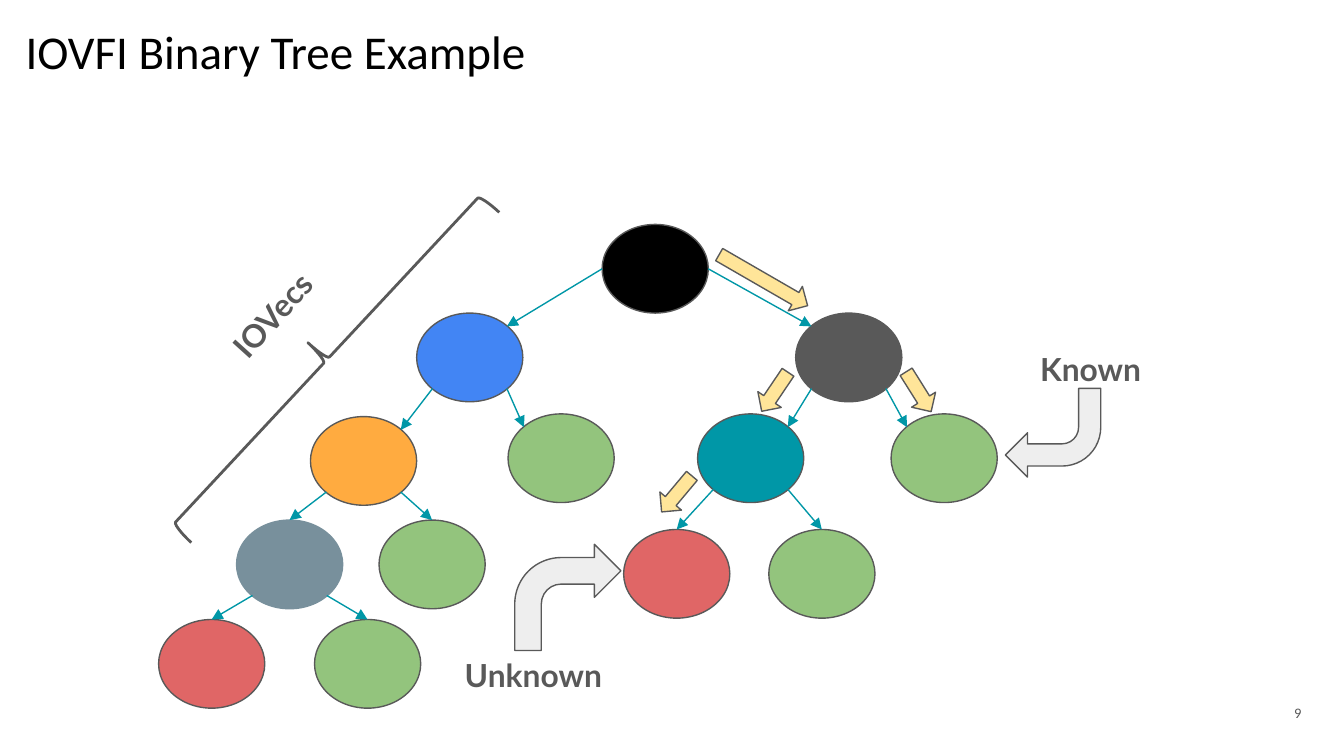
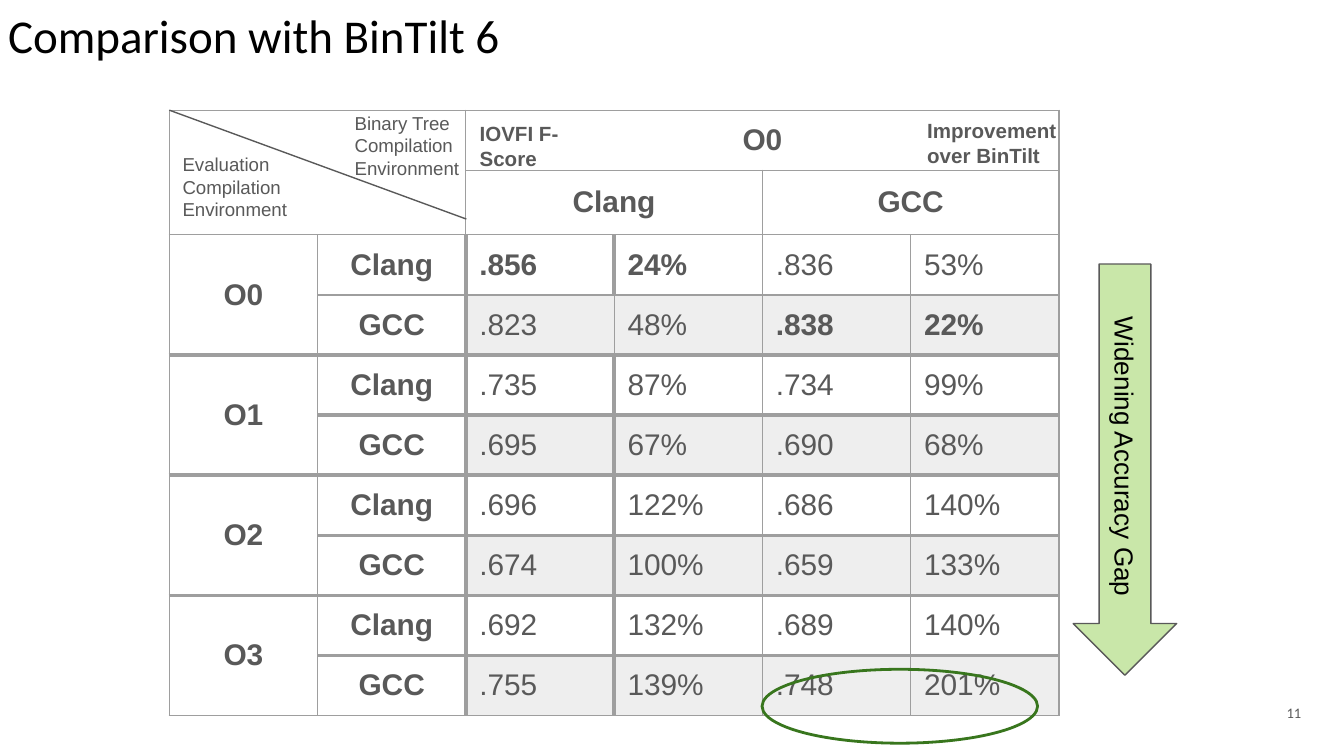
from dataclasses import dataclass

from lxml.etree import SubElement
from pptx import Presentation
from pptx.dml.color import RGBColor
from pptx.enum.shapes import MSO_CONNECTOR, MSO_SHAPE
from pptx.enum.text import MSO_ANCHOR, PP_ALIGN
from pptx.oxml.ns import qn
from pptx.util import Inches, Pt


@dataclass(frozen=True)
class Theme:
    black: str = "000000"
    gray: str = "595959"
    pale: str = "EEEEEE"
    grid: str = "9E9E9E"
    teal: str = "0097A7"
    blue: str = "4285F4"
    orange: str = "FFAB40"
    slate: str = "78909C"
    green: str = "93C47D"
    red: str = "E06666"
    yellow: str = "FFE599"
    lime: str = "92D050"
    forest: str = "38761D"
    heading: str = "Calibri"
    label: str = "Lato"
    body: str = "Arial"
    title_size: float = 25.2
    label_size: float = 17
    table_size: float = 16
    arrow_size: float = 14
    key_size: float = 11
    corner_size: float = 10
    number_size: float = 7.8
    thin: float = 0.75
    medium: float = 1.5
    heavy: float = 2.25


THEME = Theme()


# Shared helpers
def rgb(color):
    return RGBColor.from_string(color)


def write(holder, text, name, size, color=THEME.gray, bold=False,
          align=PP_ALIGN.LEFT, anchor=MSO_ANCHOR.TOP):
    """Fill a text frame or table cell with one evenly formatted paragraph."""
    frame = getattr(holder, "text_frame", holder)
    frame.word_wrap = True
    holder.vertical_anchor = anchor
    for side in ("left", "top", "right", "bottom"):
        setattr(holder, f"margin_{side}", Inches(0.1))
    para = frame.paragraphs[0]
    para.text = text
    para.alignment = align
    font = para.font
    font.name, font.size, font.bold = name, Pt(size), bold
    font.color.rgb = rgb(color)
    return para


def add_label(page, box, text, name, size, bold=False, align=PP_ALIGN.LEFT, turn=0):
    label = page.shapes.add_textbox(*map(Inches, box))
    label.rotation = turn
    write(label.text_frame, text, name, size, bold=bold, align=align)


def add_figure(page, kind, box, fill=None, line=THEME.gray, width=THEME.thin, turn=0):
    figure = page.shapes.add_shape(kind, *map(Inches, box))
    figure.shadow.inherit = False
    figure.rotation = turn
    if fill:
        figure.fill.solid()
        figure.fill.fore_color.rgb = rgb(fill)
    else:
        figure.fill.background()
    if line:
        figure.line.color.rgb = rgb(line)
        figure.line.width = Pt(width)
    else:
        figure.line.fill.background()
    return figure


def add_line(page, start, end, color, arrow=False):
    line = page.shapes.add_connector(MSO_CONNECTOR.STRAIGHT, *map(Inches, start + end))
    line.line.color.rgb = rgb(color)
    line.line.width = Pt(THEME.thin)
    if arrow:
        SubElement(line.line._get_or_add_ln(), qn("a:tailEnd"), type="triangle")
    SubElement(line._element.spPr, qn("a:effectLst"))


def add_page(deck, title, corner, number):
    page = deck.slides.add_slide(deck.slide_layouts[5])
    heading = page.shapes.title
    heading.left, heading.top = map(Inches, corner)
    heading.width, heading.height = Inches(9.57), Inches(0.63)
    write(heading.text_frame, title, THEME.heading, THEME.title_size, THEME.black)
    # Page number
    badge = add_figure(page, MSO_SHAPE.OVAL, (9.27, 5.1, 0.6, 0.43), line=None)
    para = write(badge.text_frame, number, THEME.heading, THEME.number_size,
                 align=PP_ALIGN.RIGHT, anchor=MSO_ANCHOR.MIDDLE)
    para.line_spacing = 0.8
    return page


# Binary tree
NODE_WIDTH, NODE_HEIGHT = 0.79, 0.66
NEAR, FAR = 0.15, 0.85
SITES = {
    "top": (0.5, 0), "left": (0, 0.5), "right": (1, 0.5),
    "top left": (NEAR, NEAR), "top right": (FAR, NEAR),
    "bottom left": (NEAR, FAR), "bottom right": (FAR, FAR),
}
NODES = {  # offset from the tree's corner, colour
    "root": (3.3, 0, THEME.black),
    "blue": (1.92, 0.66, THEME.blue),
    "orange": (1.13, 1.43, THEME.orange),
    "blue known": (2.6, 1.41, THEME.green),
    "gray": (4.74, 0.66, THEME.gray),
    "teal": (4.01, 1.41, THEME.teal),
    "gray known": (5.45, 1.41, THEME.green),
    "slate": (0.58, 2.2, THEME.slate),
    "orange known": (1.64, 2.2, THEME.green),
    "slate unknown": (0, 2.94, THEME.red),
    "slate known": (1.16, 2.94, THEME.green),
    "teal unknown": (3.46, 2.27, THEME.red),
    "teal known": (4.54, 2.27, THEME.green),
}
BRANCHES = [  # parent, left child, its site, right child, its site
    ("root", "blue", "top right", "gray", "top left"),
    ("blue", "orange", "top right", "blue known", "top left"),
    ("gray", "teal", "top right", "gray known", "top left"),
    ("orange", "slate", "top", "orange known", "top"),
    ("slate", "slate unknown", "top", "slate known", "top"),
    ("teal", "teal unknown", "top", "teal known", "top"),
]


def draw_tree(page, left, top):
    def site(node, name):
        x, y, _ = NODES[node]
        across, down = SITES[name]
        return left + x + across * NODE_WIDTH, top + y + down * NODE_HEIGHT

    for x, y, color in NODES.values():
        outline = THEME.slate if color == THEME.slate else THEME.gray
        add_figure(page, MSO_SHAPE.OVAL, (left + x, top + y, NODE_WIDTH, NODE_HEIGHT),
                   color, outline)
    for parent, left_child, left_site, right_child, right_site in BRANCHES:
        prefix = "" if parent == "root" else "bottom "
        add_line(page, site(parent, prefix + "left"), site(left_child, left_site),
                 THEME.teal, arrow=True)
        add_line(page, site(parent, prefix + "right"), site(right_child, right_site),
                 THEME.teal, arrow=True)


def draw_search_path(page, left, top):
    # Yellow arrows along the visited branches
    for x, y, width, turn in [(0.44, 0.41, 0.76, 30), (1.8, 1.24, 0.35, 57.9),
                              (0.73, 1.24, 0.35, 124), (0, 2, 0.35, 130)]:
        add_figure(page, MSO_SHAPE.RIGHT_ARROW, (left + x, top + y, width, 0.21),
                   THEME.yellow, turn=turn)


def draw_callout(page, text, label_box, arrow_box, turn=0):
    add_figure(page, MSO_SHAPE.BENT_ARROW, arrow_box, THEME.pale, turn=turn)
    add_label(page, label_box, text, THEME.label, THEME.label_size, bold=True)


def draw_brace(page, left, top):
    add_figure(page, MSO_SHAPE.LEFT_BRACE, (left + 1.13, top, 0.38, 3.36),
               width=THEME.medium, turn=43)
    add_label(page, (left, top + 1.11, 1.79, 0.43), "IOVecs", THEME.label,
              THEME.label_size, bold=True, align=PP_ALIGN.CENTER, turn=312.1)


def build_tree_page(deck):
    page = add_page(deck, "IOVFI Binary Tree Example", (0.09, 0.07), "9")
    draw_tree(page, 1.18, 1.67)
    draw_callout(page, "Unknown", (3.36, 4.78, 1.73, 0.43), (3.83, 4.05, 0.79, 0.79))
    draw_callout(page, "Known", (7.64, 2.5, 1.04, 0.48), (7.48, 2.89, 0.71, 0.66), 180)
    draw_brace(page, 1.11, 1)
    draw_search_path(page, 4.86, 1.57)


# Comparison table
LEVELS = ["O0", "O1", "O2", "O3"]
COMPILERS = ["Clang", "GCC"]
SCORES = [
    [".856", "24%", ".836", "53%"],
    [".823", "48%", ".838", "22%"],
    [".735", "87%", ".734", "99%"],
    [".695", "67%", ".690", "68%"],
    [".696", "122%", ".686", "140%"],
    [".674", "100%", ".659", "133%"],
    [".692", "132%", ".689", "140%"],
    [".755", "139%", ".748", "201%"],
]
BEST = {(2, 2), (2, 3), (3, 4), (3, 5)}


def set_borders(cell, row, column):
    last = row + cell.span_height - 1

    def is_heavy_edge(edge):
        # Vertical rules on both sides of the first score column
        return row > 1 and (edge == 2 or edge == 3 and row != 3)

    heavy = {
        "lnL": is_heavy_edge(column),
        "lnR": is_heavy_edge(column + 1),
        "lnT": row in (4, 6, 8) or row > 4 and column > 0,
        "lnB": 3 <= last <= 8,
    }
    properties = cell._tc.get_or_add_tcPr()
    for tag, is_heavy in heavy.items():
        width = THEME.heavy if is_heavy else THEME.thin
        border = SubElement(properties, qn(f"a:{tag}"), w=str(Pt(width)))
        SubElement(SubElement(border, qn("a:solidFill")), qn("a:srgbClr"), val=THEME.grid)


def draw_table(page, left, top):
    table = page.shapes.add_table(10, 6, Inches(left), Inches(top),
                                  Inches(6.62), Inches(4.4)).table
    table.first_row = table.horz_banding = False
    for index, row in enumerate(table.rows):
        row.height = Inches(0.48 if index == 1 else 0.44)

    # Headings, with the cells they span
    texts = {(0, 2): "O0", (1, 2): "Clang", (1, 4): "GCC"}
    spans = [(0, 0, 1, 1), (0, 2, 0, 5), (1, 2, 1, 3), (1, 4, 1, 5)]
    for index, level in enumerate(LEVELS):
        first = 2 + 2 * index
        texts[first, 0] = level
        spans.append((first, 0, first + 1, 0))
    for row, values in enumerate(SCORES, 2):
        for column, value in enumerate([COMPILERS[row % 2]] + values, 1):
            texts[row, column] = value
    for row, column, last_row, last_column in spans:
        table.cell(row, column).merge(table.cell(last_row, last_column))

    for row in range(10):
        for column in range(6):
            cell = table.cell(row, column)
            set_borders(cell, row, column)
            is_score = row > 1 and column > 1
            if is_score and row % 2:
                cell.fill.solid()
                cell.fill.fore_color.rgb = rgb(THEME.pale)
            else:
                cell.fill.background()
            if (row, column) in texts:
                write(cell, texts[row, column], THEME.body, THEME.table_size,
                      bold=not is_score or (row, column) in BEST,
                      align=PP_ALIGN.LEFT if is_score else PP_ALIGN.CENTER,
                      anchor=MSO_ANCHOR.TOP if is_score else MSO_ANCHOR.MIDDLE)


def draw_table_keys(page, left, top):
    # Diagonal of the corner cell and the notes over the header
    add_line(page, (left, top), (left + 2.21, top + 0.81), THEME.gray)
    for x, y, width, height, text, size in [
        (0, 0.22, 1.01, 0.71, "Evaluation Compilation Environment", THEME.corner_size),
        (1.28, -0.09, 1.01, 0.71, "Binary Tree Compilation Environment", THEME.corner_size),
        (2.21, -0.02, 1.01, 0.57, "IOVFI F-Score", THEME.key_size),
        (5.54, -0.04, 1.19, 0.57, "Improvement over BinTilt", THEME.key_size),
    ]:
        add_label(page, (left + x, top + y, width, height), text, THEME.body, size,
                  bold=size == THEME.key_size)


def draw_gap_arrow(page, box):
    arrow = add_figure(page, MSO_SHAPE.RIGHT_ARROW, box, THEME.lime, turn=90)
    color = arrow._element.spPr.find(qn("a:solidFill")).find(qn("a:srgbClr"))
    SubElement(color, qn("a:alpha"), val="49000")
    write(arrow.text_frame, "Widening Accuracy Gap", THEME.body, THEME.arrow_size,
          THEME.black, align=PP_ALIGN.CENTER, anchor=MSO_ANCHOR.MIDDLE)


def build_comparison_page(deck):
    page = add_page(deck, "Comparison with BinTilt 6", (-0.04, -0.05), "11")
    draw_table(page, 1.26, 0.82)
    draw_table_keys(page, 1.26, 0.82)
    draw_gap_arrow(page, (6.84, 3.11, 3.06, 0.77))
    # Ring around the widest gap
    add_figure(page, MSO_SHAPE.OVAL, (5.67, 4.98, 2.05, 0.55),
               line=THEME.forest, width=THEME.medium)


def main():
    deck = Presentation()
    deck.slide_width = Inches(10)
    deck.slide_height = deck.slide_width * 9 // 16
    build_tree_page(deck)
    build_comparison_page(deck)
    deck.save("out.pptx")


if __name__ == "__main__":
    main()
